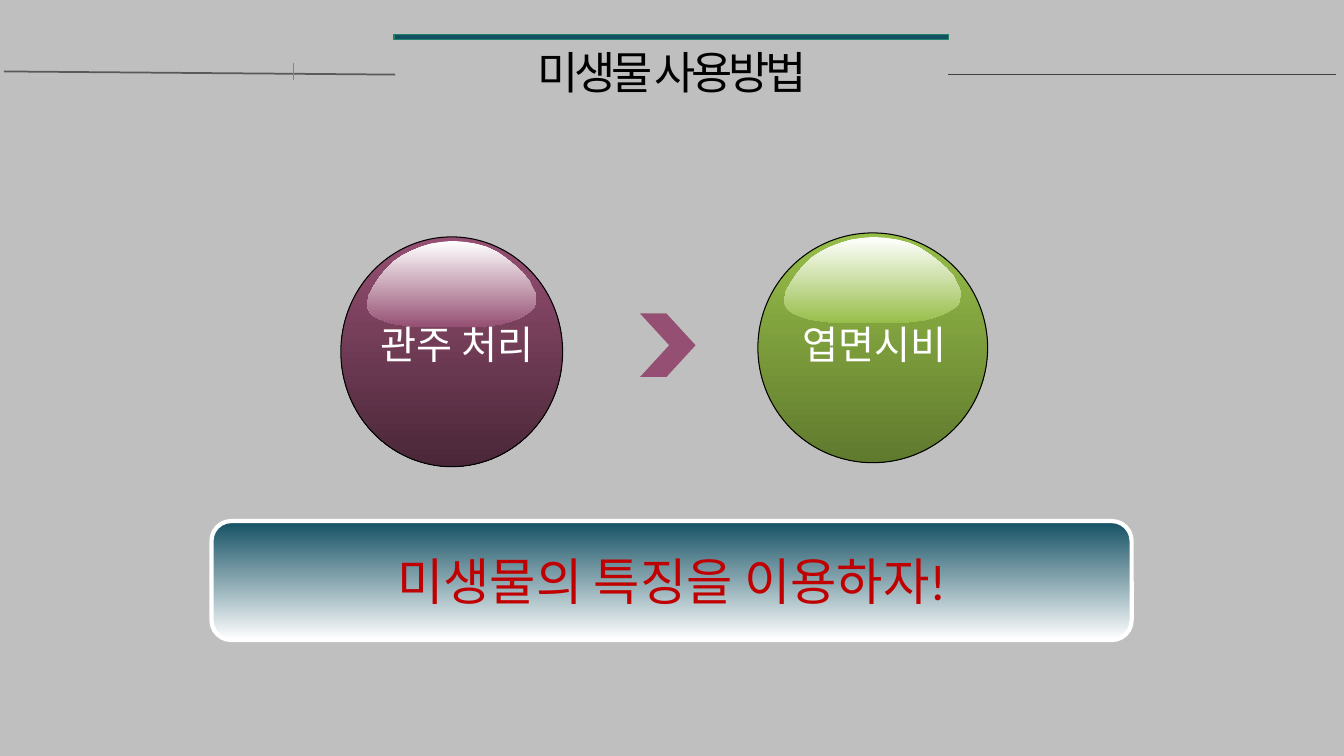
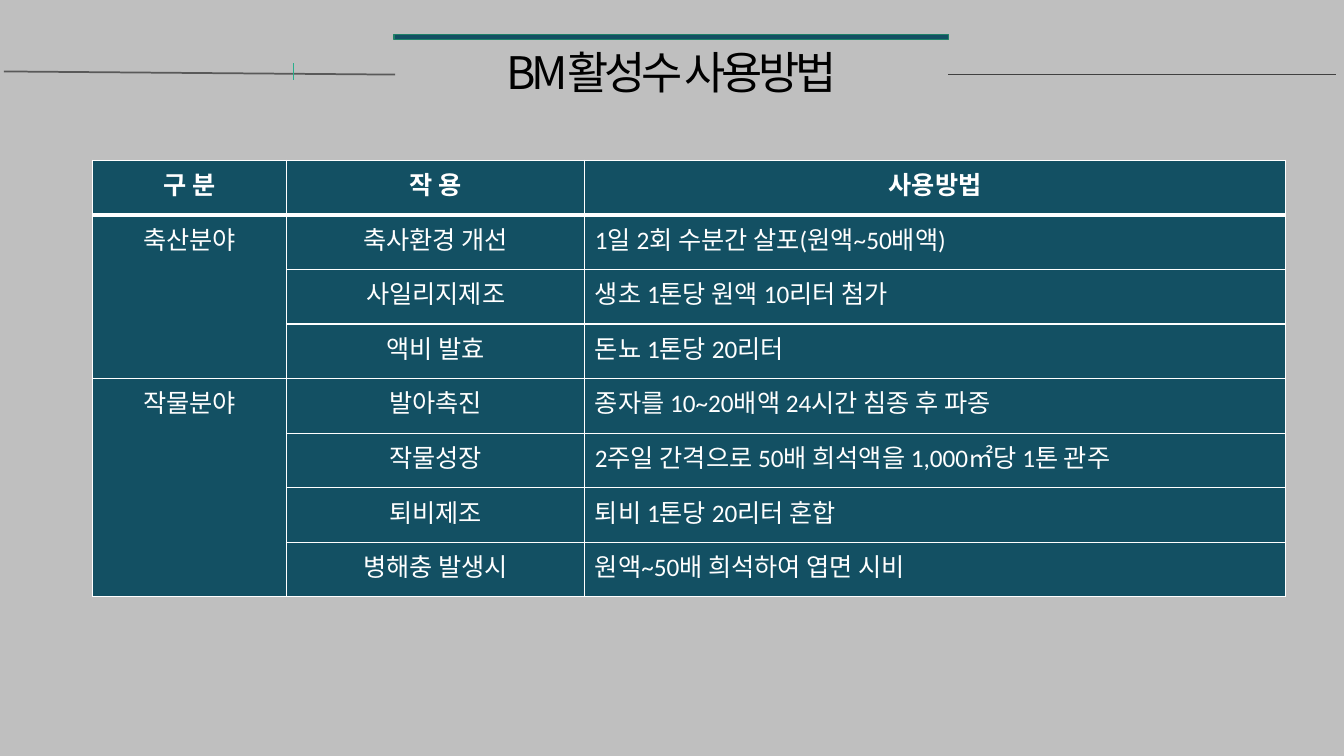
from lxml.etree import SubElement
from pptx import Presentation
from pptx.dml.color import RGBColor
from pptx.enum.shapes import MSO_CONNECTOR, MSO_SHAPE
from pptx.enum.text import MSO_ANCHOR, PP_ALIGN
from pptx.oxml.ns import qn
from pptx.util import Cm, Pt

COLORS = {
    "background": "BFBFBF", "teal": "135063", "bar_edge": "1E8168", "tick": "29AF8C",
    "left_rule": "595959", "right_rule": "404040", "black": "000000", "white": "FFFFFF",
    "red": "C00000", "plum": "954F72", "dark_plum": "4A2738",
    "green": "97BE49", "dark_green": "607A2E",
}
KOREAN, LATIN = "Noto Sans CJK KR", "Calibri"

TITLES = ["미생물 사용방법", "BM활성수 사용방법"]
TITLE_BOX = (9.96, 0.99, 13.94, 1.78)
TITLE_BAR = (9.93, 0.86, 13.97, 0.13)
RULES = [
    ((0.1, 1.8), (9.96, 1.88), "left_rule", 1.25),
    ((7.39, 1.6), (7.39, 2.01), "tick", 0.5),
    ((23.9, 1.88), (33.66, 1.88), "right_rule", 1),
]

BALLS = [
    ("관주 처리", (8.59, 5.97, 5.59, 5.79), (8.59, 7.95, 5.84, 1.45), "plum", "dark_plum"),
    ("엽면시비", (19.1, 5.87, 5.79, 5.79), (18.72, 7.95, 6.63, 1.45), "green", "dark_green"),
]
GLOSS_INSET_X, GLOSS_INSET_Y, GLOSS_HEIGHT = 0.66, 0.1, 2.18
GLOSS_UNITS = (176, 86)
GLOSS_OUTLINE = [
    (173, 49), (176, 54), (176, 58), (175, 62), (173, 67), (170, 70), (165, 73),
    (160, 76), (153, 79), (146, 81), (138, 83), (129, 84), (120, 85), (106, 86),
    (63, 86), (55, 86), (47, 85), (39, 84), (32, 83), (25, 82), (19, 80), (14, 78),
    (9, 76), (6, 74), (3, 71), (1, 67), (0, 63), (1, 59), (2, 54), (7, 45), (13, 36),
    (20, 28), (27, 21), (36, 15), (46, 10), (56, 6), (66, 3), (78, 1), (89, 0),
    (101, 1), (113, 3), (124, 6), (135, 11), (144, 17), (153, 24), (161, 31), (168, 39),
]
CHEVRON_BOX = (16.13, 7.9, 1.4, 1.6)
BANNER = "미생물의 특징을 이용하자!"
BANNER_BOX = (5.33, 13.13, 23.19, 3)

HEADER = ("구 분", "작 용", "사용방법")
FIELDS = [
    ("축산분야", [
        ("축사환경 개선", "1일 2회 수분간 살포(원액~50배액)"),
        ("사일리지제조", "생초 1톤당 원액 10리터 첨가"),
        ("액비 발효", "돈뇨 1톤당 20리터"),
    ]),
    ("작물분야", [
        ("발아촉진", "종자를 10~20배액 24시간 침종 후 파종"),
        ("작물성장", "2주일 간격으로 50배 희석액을 1,000㎡당 1톤 관주"),
        ("퇴비제조", "퇴비 1톤당 20리터 혼합"),
        ("병해충 발생시", "원액~50배 희석하여 엽면 시비"),
    ]),
]
TABLE_BOX = (2.34, 4.04, 30.05, 11)
COLUMN_WIDTHS = (4.88, 7.52, 17.65)


def rgb(name):
    return RGBColor.from_string(COLORS[name])


def cm(box):
    return [Cm(v) for v in box]


def write(tf, text, size, color, font=KOREAN, bold=False, align=PP_ALIGN.CENTER):
    tf.text = text
    p = tf.paragraphs[0]
    p.alignment = align
    r = p.runs[0]
    r.font.size, r.font.bold, r.font.name = Pt(size), bold, font
    r.font.color.rgb = rgb(color)
    SubElement(r.font._element, qn("a:ea")).set("typeface", KOREAN)
    return p


def paint(sp, fill, fade=None, line=None, width=0):
    sp.shadow.inherit = False
    if fade:
        sp.fill.gradient()
        sp.fill.gradient_angle = 270
        for stop, color in zip(sp.fill.gradient_stops, (fill, fade)):
            stop.color.rgb = rgb(color)
    else:
        sp.fill.solid()
        sp.fill.fore_color.rgb = rgb(fill)
    if line:
        sp.line.color.rgb = rgb(line)
        sp.line.width = Pt(width)
    else:
        sp.line.fill.background()


def decorate_layout(layout, s):
    for ph in list(layout.placeholders):
        if ph.placeholder_format.idx:
            layout.shapes.element.remove(ph.element)
    bar = s.shapes.add_shape(MSO_SHAPE.RECTANGLE, *cm(TITLE_BAR))
    paint(bar, "teal", line="bar_edge")
    decorations = [bar]
    for start, end, color, width in RULES:
        rule = s.shapes.add_connector(MSO_CONNECTOR.STRAIGHT, *cm(start + end))
        rule.line.color.rgb = rgb(color)
        rule.line.width = Pt(width)
        SubElement(rule.element.find(qn("p:spPr")), qn("a:effectLst"))
        decorations.append(rule)
    for sp in decorations:
        layout.shapes.element.append(sp.element)


def set_title(s, text):
    title = s.shapes.title
    title.left, title.top, title.width, title.height = cm(TITLE_BOX)
    title.text_frame.vertical_anchor = MSO_ANCHOR.MIDDLE
    p = write(title.text_frame, text, 32, "black")
    p.line_spacing = 0.9
    p.runs[0].font._element.set("spc", "-300")


def add_ball(s, text, box, label_box, color, dark):
    left, top, width, _ = box
    group = s.shapes.add_group_shape()
    paint(group.shapes.add_shape(MSO_SHAPE.OVAL, *cm(box)), color, dark, "black", 0.75)
    scale = (Cm(width - 2 * GLOSS_INSET_X) / GLOSS_UNITS[0], Cm(GLOSS_HEIGHT) / GLOSS_UNITS[1])
    outline = group.shapes.build_freeform(*GLOSS_OUTLINE[0], scale=scale)
    outline.add_line_segments(GLOSS_OUTLINE[1:], close=True)
    gloss = outline.convert_to_shape(Cm(left + GLOSS_INSET_X), Cm(top + GLOSS_INSET_Y))
    paint(gloss, "white", color)
    label = s.shapes.add_textbox(*cm(label_box))
    label.text_frame.word_wrap = True
    write(label.text_frame, text, 28, "white")


def add_banner(s):
    banner = s.shapes.add_shape(MSO_SHAPE.ROUNDED_RECTANGLE, *cm(BANNER_BOX))
    paint(banner, "teal", "white", "white", 3)
    tf = banner.text_frame
    tf.word_wrap = False
    tf.vertical_anchor = MSO_ANCHOR.MIDDLE
    write(tf, BANNER, 36, "red", LATIN)


def style_cell(cell, header):
    tcPr = cell._tc.get_or_add_tcPr()
    for side in ("L", "R", "T", "B"):
        thick = (header and side == "B")
        ln = SubElement(tcPr, qn(f"a:ln{side}"), w=str(Pt(3 if thick else 1)))
        fill = SubElement(ln, qn("a:solidFill"))
        SubElement(fill, qn("a:srgbClr"), val=COLORS["white"])
    cell.fill.solid()
    cell.fill.fore_color.rgb = rgb("teal")


def add_usage_table(s):
    rows = [HEADER]
    spans = []
    for field, uses in FIELDS:
        spans.append((len(rows), len(rows) + len(uses) - 1))
        rows += [(field if i == 0 else "", *use) for i, use in enumerate(uses)]
    table = s.shapes.add_table(len(rows), len(HEADER), *cm(TABLE_BOX)).table
    for column, width in zip(table.columns, COLUMN_WIDTHS):
        column.width = Cm(width)
    for i, row in enumerate(rows):
        table.rows[i].height = Cm(TABLE_BOX[3]) // len(rows)
        for j, text in enumerate(row):
            cell = table.cell(i, j)
            style_cell(cell, i == 0)
            if text:
                align = PP_ALIGN.LEFT if i and j == 2 else PP_ALIGN.CENTER
                write(cell.text_frame, text, 18, "white", LATIN, i == 0, align)
    for first, last in spans:
        table.cell(first, 0).merge(table.cell(last, 0))


def main():
    prs = Presentation()
    prs.slide_width, prs.slide_height = Cm(33.87), Cm(19.05)
    background = prs.slide_master.background.fill
    background.solid()
    background.fore_color.rgb = rgb("background")
    layout = prs.slide_layouts[5]
    methods, usage = [prs.slides.add_slide(layout) for _ in TITLES]
    decorate_layout(layout, methods)
    for s, text in zip((methods, usage), TITLES):
        set_title(s, text)

    for ball in BALLS:
        add_ball(methods, *ball)
    chevron = methods.shapes.add_shape(MSO_SHAPE.CHEVRON, *cm(CHEVRON_BOX))
    chevron.adjustments[0] = 0.525
    paint(chevron, "plum")
    add_banner(methods)
    add_usage_table(usage)
    prs.save("out.pptx")


if __name__ == "__main__":
    main()
